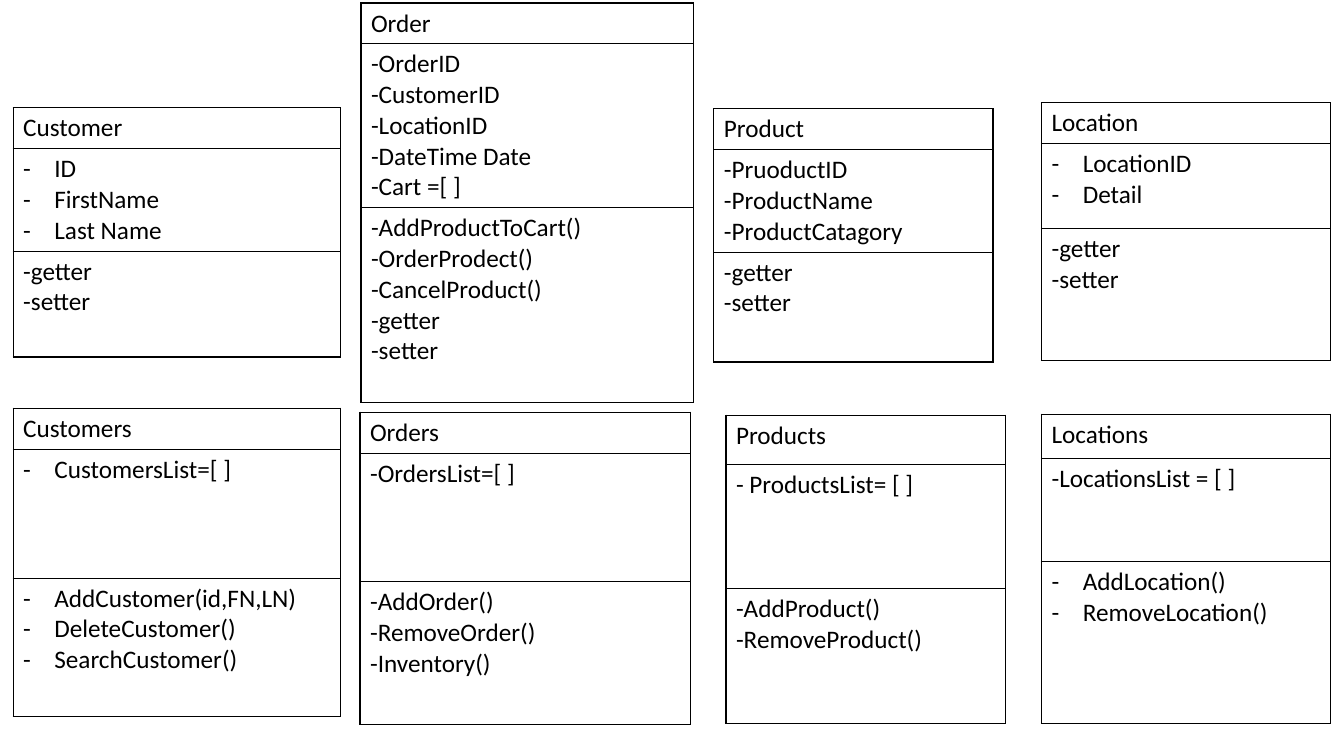
import pptx
import pptx.util
import pptx.dml.color
import pptx.oxml
import pptx.oxml.ns
from dataclasses import dataclass

Inches = pptx.util.Inches
Pt = pptx.util.Pt


@dataclass
class Theme:
    font: str = "Calibri"
    size: int = 18
    ink: str = "000000"
    border: float = 1
    indent: float = 0.31


theme = Theme()
NS = pptx.oxml.ns.nsdecls("a")


def add_borders(cell):
    tcPr = cell._tc.get_or_add_tcPr()
    for side in ("lnL", "lnR", "lnT", "lnB"):
        tcPr.append(pptx.oxml.parse_xml(
            f'<a:{side} {NS} w="{Pt(theme.border)}"><a:solidFill>'
            f'<a:srgbClr val="{theme.ink}"/></a:solidFill></a:{side}>'))


def add_dash(p):
    pPr = p._p.get_or_add_pPr()
    pPr.set("marL", str(Inches(theme.indent)))
    pPr.set("indent", str(-Inches(theme.indent)))
    pPr.append(pptx.oxml.parse_xml(f'<a:buFont {NS} typeface="{theme.font}"/>'))
    pPr.append(pptx.oxml.parse_xml(f'<a:buChar {NS} char="-"/>'))


PLAIN, DASHED = False, True
accessors = (PLAIN, ["-getter", "-setter"])

classes = [
    ("Customer", 0.13, 1.07, 3.25, (0.4, 1.01, 1.05),
     (DASHED, ["ID", "FirstName", "Last Name"]), accessors),
    ("Order", 3.58, 0.03, 3.3, (0.4, 1.62, 1.93),
     (PLAIN, ["-OrderID", "-CustomerID", "-LocationID", "-DateTime Date", "-Cart =[ ]"]),
     (PLAIN, ["-AddProductToCart()", "-OrderProdect()", "-CancelProduct()", "-getter", "-setter"])),
    ("Product", 7.08, 1.08, 2.77, (0.4, 1.01, 1.09),
     (PLAIN, ["-PruoductID", "-ProductName", "-ProductCatagory"]), accessors),
    ("Location", 10.33, 1.02, 2.87, (0.4, 0.84, 1.31),
     (DASHED, ["LocationID", "Detail"]), accessors),
    ("Customers", 0.13, 4.05, 3.25, (0.4, 1.28, 1.37),
     (DASHED, ["CustomersList=[ ]"]),
     (DASHED, ["AddCustomer(id,FN,LN)", "DeleteCustomer()", "SearchCustomer()"])),
    ("Orders ", 3.57, 4.09, 3.28, (0.41, 1.27, 1.42),
     (PLAIN, ["-OrdersList=[ ]"]),
     (PLAIN, ["-AddOrder()", "-RemoveOrder()", "-Inventory()"])),
    ("Products", 7.2, 4.12, 2.77, (0.49, 1.23, 1.34),
     (PLAIN, ["- ProductsList= [ ]"]),
     (PLAIN, ["-AddProduct()", "-RemoveProduct()"])),
    ("Locations", 10.33, 4.11, 2.87, (0.44, 1.02, 1.61),
     (PLAIN, ["-LocationsList = [ ]"]),
     (DASHED, ["AddLocation()", "RemoveLocation()"])),
]

prs = pptx.Presentation()
prs.slide_width = Inches(13.33)
prs.slide_height = Inches(7.5)
s = prs.slides.add_slide(prs.slide_layouts[6])

for name, left, top, width, heights, fields, methods in classes:
    table = s.shapes.add_table(3, 1, Inches(left), Inches(top),
                               Inches(width), Inches(sum(heights))).table
    table.first_row = False
    table.horz_banding = False
    sections = [(PLAIN, [name]), fields, methods]
    for row, height, (dashed, lines) in zip(table.rows, heights, sections):
        row.height = Inches(height)
        cell = row.cells[0]
        add_borders(cell)
        cell.fill.background()
        tf = cell.text_frame
        tf.text = "\n".join(lines)
        for p in tf.paragraphs:
            if dashed:
                add_dash(p)
            for r in p.runs:
                r.font.name = theme.font
                r.font.size = Pt(theme.size)
                r.font.color.rgb = pptx.dml.color.RGBColor.from_string(theme.ink)

prs.save("out.pptx")
